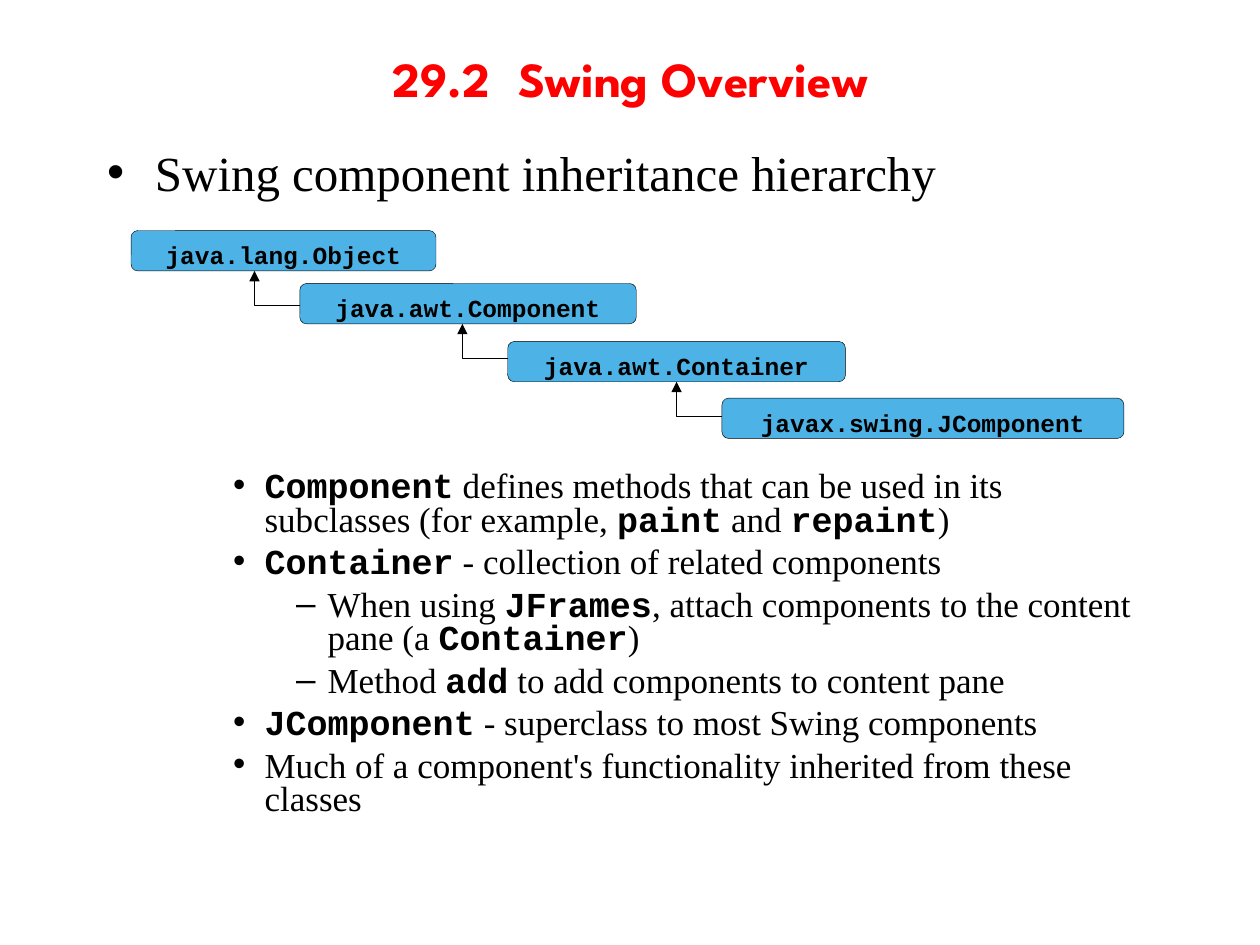
from itertools import cycle

from lxml.etree import SubElement
from pptx import Presentation
from pptx.dml.color import RGBColor
from pptx.enum.shapes import MSO_SHAPE
from pptx.enum.text import MSO_ANCHOR, MSO_AUTO_SIZE, PP_ALIGN
from pptx.oxml.ns import qn
from pptx.util import Inches, Pt

COLOURS = {"title": "FF0000", "text": "000000", "box": "4DB3E6", "line": "000000"}
BODY_FONT = "Times New Roman"
CODE_FONT = "Courier New"

BOX_HEIGHT = 0.32
ARROW_WIDTH, ARROW_HEIGHT = 0.36, 0.27

# class name, left, top, width
CLASSES = [
    ("java.lang.Object", 1.04, 1.83, 2.42),
    ("java.awt.Component", 2.38, 2.25, 2.67),
    ("java.awt.Container", 4.03, 2.71, 2.68),
    ("javax.swing.JComponent", 5.73, 3.16, 3.19),
]

# level: bullet, left margin, hanging indent, text size, space before
LEVELS = {
    0: ("•", 0.38, 0.38, 28, 7),
    2: ("•", 1.25, 0.25, 20, 5),
    3: ("–", 1.75, 0.25, 20, 5),
}
DIAGRAM_GAP = 155

# Text between backquotes is code.
BODY = [
    (0, "Swing component inheritance hierarchy"),
    (2, "`Component` defines methods that can be used in its subclasses "
        "(for example, `paint` and `repaint`)"),
    (2, "`Container` - collection of related components"),
    (3, "When using `JFrames`, attach components to the content pane (a `Container`)"),
    (3, "Method `add` to add components to content pane"),
    (2, "`JComponent` - superclass to most Swing components"),
    (2, "Much of a component's functionality inherited from these classes"),
]


def colour(name):
    return RGBColor.from_string(COLOURS[name])


def place(shape, left, top, width, height):
    shape.left, shape.top = Inches(left), Inches(top)
    shape.width, shape.height = Inches(width), Inches(height)


def style_font(font, size, name, colour_name, bold):
    font.size, font.name, font.bold = Pt(size), name, bold
    font.color.rgb = colour(colour_name)


def set_title(slide):
    title = slide.shapes.title
    place(title, 0.75, 0.08, 8.5, 1.08)
    frame = title.text_frame
    frame.auto_size = MSO_AUTO_SIZE.NONE
    frame.vertical_anchor = MSO_ANCHOR.MIDDLE
    paragraph = frame.paragraphs[0]
    paragraph.add_run().text = "29.2\tSwing Overview"
    paragraph.alignment = PP_ALIGN.CENTER
    tabs = SubElement(paragraph._p.get_or_add_pPr(), qn("a:tabLst"))
    for position in range(8):
        SubElement(tabs, qn("a:tab"), pos=str(Inches(position)), algn="l")
    style_font(paragraph.font, 28, "League Spartan", "title", True)


def add_bullet(paragraph, level, text, space_before):
    bullet, margin, hanging, size, _ = LEVELS[level]
    paragraph.level = level
    paragraph.line_spacing = 0.8
    paragraph.space_before = Pt(space_before)
    properties = paragraph._p.get_or_add_pPr()
    properties.set("marL", str(Inches(margin)))
    properties.set("indent", str(-Inches(hanging)))
    bullet_colour = SubElement(properties, qn("a:buClr"))
    SubElement(bullet_colour, qn("a:srgbClr"), val=COLOURS["text"])
    SubElement(properties, qn("a:buChar"), char=bullet)
    style_font(paragraph.font, size, BODY_FONT, "text", False)
    for piece, is_code in zip(text.split("`"), cycle([False, True])):
        if piece:
            run = paragraph.add_run()
            run.text = piece
            if is_code:
                run.font.name, run.font.bold = CODE_FONT, True


def set_body(slide):
    body = slide.placeholders[1]
    place(body, 0.75, 1.17, 8.5, 5.92)
    frame = body.text_frame
    frame.auto_size = MSO_AUTO_SIZE.NONE
    for index, (level, text) in enumerate(BODY):
        paragraph = frame.add_paragraph() if index else frame.paragraphs[0]
        # The second paragraph starts below the class diagram.
        space_before = {0: 0, 1: DIAGRAM_GAP}.get(index, LEVELS[level][4])
        add_bullet(paragraph, level, text, space_before)


def add_class_box(slide, name, left, top, width):
    box = slide.shapes.add_shape(
        MSO_SHAPE.ROUNDED_RECTANGLE,
        Inches(left), Inches(top), Inches(width), Inches(BOX_HEIGHT))
    box.shadow.inherit = False
    box.fill.solid()
    box.fill.fore_color.rgb = colour("box")
    box.line.color.rgb = colour("line")
    box.line.width = Pt(0.25)
    frame = box.text_frame
    frame.word_wrap = False
    frame.vertical_anchor = MSO_ANCHOR.TOP
    frame.margin_left = frame.margin_right = frame.margin_bottom = 0
    frame.margin_top = Inches(0.06)
    paragraph = frame.paragraphs[0]
    paragraph.add_run().text = name
    paragraph.alignment = PP_ALIGN.CENTER
    style_font(paragraph.font, 14, CODE_FONT, "text", True)


def add_inheritance_arrow(slide, parent_top, child_left):
    """Draw an elbow from the child's left side up to the parent's bottom."""
    left, top = Inches(child_left - ARROW_WIDTH), Inches(parent_top + BOX_HEIGHT)
    bottom = top + Inches(ARROW_HEIGHT)
    builder = slide.shapes.build_freeform(left, top)
    builder.add_line_segments([(left, bottom), (Inches(child_left), bottom)], close=False)
    arrow = builder.convert_to_shape()
    arrow.shadow.inherit = False
    arrow.fill.background()
    arrow.line.color.rgb = colour("line")
    arrow.line.width = Pt(0.25)
    SubElement(arrow.line._get_or_add_ln(), qn("a:headEnd"), type="triangle")


def main():
    presentation = Presentation()
    presentation.slide_width, presentation.slide_height = Inches(10), Inches(7.5)
    slide = presentation.slides.add_slide(presentation.slide_layouts[1])
    set_title(slide)
    set_body(slide)
    for class_box in CLASSES:
        add_class_box(slide, *class_box)
    for parent, child in zip(CLASSES, CLASSES[1:]):
        add_inheritance_arrow(slide, parent[2], child[1])
    presentation.save("out.pptx")


if __name__ == "__main__":
    main()
